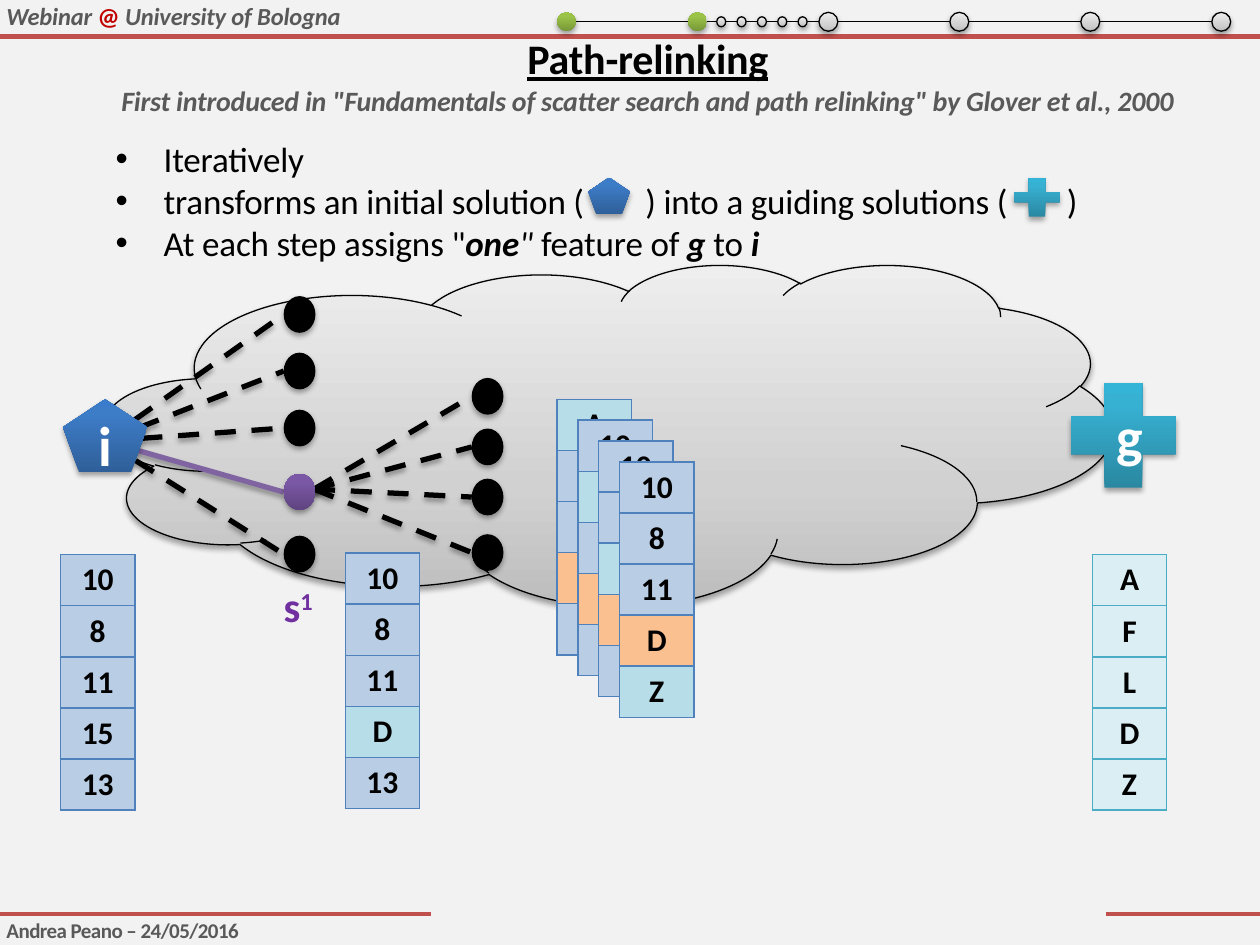
from copy import deepcopy

from lxml import etree
from pptx import Presentation
from pptx.dml.color import RGBColor
from pptx.enum import dml, shapes, text
from pptx.oxml.ns import qn
from pptx.util import Cm, Pt

BLACK = RGBColor(0x00, 0x00, 0x00)
WHITE = RGBColor(0xFF, 0xFF, 0xFF)
PAPER = RGBColor(0xF2, 0xF2, 0xF2)
GREY = RGBColor(0x59, 0x59, 0x59)
RED = RGBColor(0xC0, 0x50, 0x4D)
DARK_RED = RGBColor(0xC0, 0x00, 0x00)
VIOLET = RGBColor(0x70, 0x30, 0xA0)
PURPLE = RGBColor(0x80, 0x64, 0xA2)
BLUE_EDGE = RGBColor(0x4F, 0x81, 0xBD)
BLUE_CELL = RGBColor(0xB9, 0xCD, 0xE5)
TEAL_EDGE = RGBColor(0x4B, 0xAC, 0xC6)
TEAL_CELL = RGBColor(0xDB, 0xEE, 0xF4)
TEAL_MARK = RGBColor(0xB7, 0xDE, 0xE8)
ORANGE_MARK = RGBColor(0xFA, 0xC0, 0x90)


def gradient(*stops):
    return [(position, RGBColor.from_string(code)) for position, code in stops]


SILVER_FADE = gradient((0, "BDBDBD"), (0.35, "D1D1D1"), (1, "EEEEEE"))
BLUE_FADE = gradient((0, "2F5F99"), (0.8, "3D7CC7"), (1, "3A7CCB"))
TEAL_FADE = gradient((0, "2A88A2"), (0.8, "37B1D2"), (1, "34B4D6"))
PURPLE_FADE = gradient((0, "5F4480"), (0.8, "7B58A6"), (1, "7C57A8"))
GREEN_FADE = gradient((0, "779737"), (0.8, "9BC348"), (1, "9DC746"))

SHAPE = shapes.MSO_SHAPE
NODE_WIDTH, NODE_HEIGHT = 0.64, 0.74
START = ["10", "8", "11", "15", "13"]
GUIDE = ["A", "F", "L", "D", "Z"]
STEP_ONE = ["10", "8", "11", "D", "13"]


def set_effects(item, shadow):
    """Call after fill and line, so that the effects come last."""
    properties = item._element.spPr
    effects = etree.SubElement(properties, qn("a:effectLst"))
    if shadow:
        outer = etree.SubElement(effects, qn("a:outerShdw"), blurRad="39370", dist="22860",
                                 dir="5400000", rotWithShape="0")
        color = etree.SubElement(outer, qn("a:srgbClr"), val="000000")
        etree.SubElement(color, qn("a:alpha"), val="35000")


def add_solid(page, kind, box, fill, outline=False):
    """Add a shadowed preset shape; fill is one colour or a list of gradient stops."""
    shape = page.shapes.add_shape(kind, *map(Cm, box))
    if isinstance(fill, RGBColor):
        shape.fill.solid()
        shape.fill.fore_color.rgb = fill
    else:
        shape.fill.gradient()
        shape.fill.gradient_angle = 90
        stop_list = shape._element.spPr.find(".//" + qn("a:gsLst"))
        stop_list.insert(1, deepcopy(stop_list[0]))
        for stop, (position, color) in zip(shape.fill.gradient_stops, fill):
            stop.position = position
            stop.color.rgb = color
    if outline:
        shape.line.color.rgb = BLACK
        shape.line.width = Pt(0.75)
    else:
        shape.line.fill.background()
    set_effects(shape, shadow=True)
    return shape


def add_line(page, start, end, color, width, dashed=False, shadow=False):
    line = page.shapes.add_connector(shapes.MSO_CONNECTOR.STRAIGHT, *map(Cm, start + end))
    line.line.color.rgb = color
    line.line.width = Pt(width)
    if dashed:
        line.line.dash_style = dml.MSO_LINE.DASH
    set_effects(line, shadow)


def write(para, spans, size, color, spacing=0, **common):
    """Add (wording, font settings) spans to a paragraph."""
    for wording, settings in spans:
        span = para.add_run()
        span.text = wording
        span.font.name = "Calibri"
        span.font.size = Pt(size)
        span.font.color.rgb = color
        for name, value in {**common, **settings}.items():
            if name == "color":
                span.font.color.rgb = value
            elif name == "baseline":
                span._r.get_or_add_rPr().set("baseline", str(value))
            else:
                setattr(span.font, name, value)
        if spacing:
            span._r.get_or_add_rPr().set("spc", str(spacing))


def prepare_frame(shape, wrap):
    frame = shape.text_frame
    frame.margin_left = frame.margin_right = frame.margin_top = frame.margin_bottom = 0
    frame.word_wrap = wrap
    frame.auto_size = text.MSO_AUTO_SIZE.NONE
    frame.vertical_anchor = text.MSO_ANCHOR.TOP
    return frame


def add_text(page, box, wrap=True):
    return prepare_frame(page.shapes.add_textbox(*map(Cm, box)), wrap)


def add_frame_lines(page):
    """Header and footer rules with their wording."""
    for start, end, y, width in [(0, 8.69, 18.42, 2.25), (22.3, 25.4, 18.42, 2.25),
                                 (0, 25.4, 0.74, 3)]:
        add_line(page, (start, y), (end, y), RED, width)
    header = add_text(page, (0.13, 0.03, 11.23, 0.61)).paragraphs[0]
    write(header, [("Webinar ", {}), ("@ ", {"color": DARK_RED, "italic": False}),
                   ("University of Bologna", {})], 14, GREY, -10, **{"bold": True, "italic": True})
    footer = add_text(page, (0.13, 18.49, 4.75, 0.51), wrap=False).paragraphs[0]
    write(footer, [("Andrea Peano – 24/05/2016", {})], 12, GREY, -30, bold=True)


def add_title(page, box):
    title = page.shapes.title
    title.left, title.top, title.width, title.height = map(Cm, box)
    frame = prepare_frame(title, wrap=False)
    heading, source = frame.paragraphs[0], frame.add_paragraph()
    heading.alignment = source.alignment = text.PP_ALIGN.CENTER
    write(heading, [("Path-relinking", {})], 24, BLACK, -10, bold=True, underline=True)
    write(source, [('First introduced in "Fundamentals of scatter search and path relinking" '
                    "by Glover et al., 2000", {})], 16, GREY, -10, bold=True, italic=True)


def add_progress(page, left, top):
    """Chain of section dots, with small slide dots after the second."""
    size, step = 0.38, 2.64
    for index in range(6):
        x = left + index * step
        done = index < 2
        add_solid(page, SHAPE.OVAL, (x, top, size, size),
                  GREEN_FADE if done else SILVER_FADE, outline=not done)
        if index < 5:
            add_line(page, (x + size, top + size / 2), (x + step, top + size / 2), BLACK, 0.75)
    for index in range(5):
        add_solid(page, SHAPE.OVAL, (left + 3.22 + index * 0.41, top + 0.09, 0.18, 0.2),
                  SILVER_FADE, outline=True)


def add_bullets(page, left, top):
    strong, slanted = {"bold": True, "italic": True}, {"italic": True}
    lines = [
        [("Iteratively", {})],
        [("transforms an initial solution (\t) into a guiding solutions (\t)", {})],
        [('At each step assigns "', {}), ("one", strong), ('" ', slanted), ("feature of ", {}),
         ("g", strong), (" to ", {}), ("i", strong)],
    ]
    frame = add_text(page, (left, top, 21.95, 2.57))
    for index, spans in enumerate(lines):
        para = frame.add_paragraph() if index else frame.paragraphs[0]
        properties = para._p.get_or_add_pPr()
        properties.set("marL", str(Cm(0.99)))
        properties.set("indent", str(-Cm(0.97)))
        etree.SubElement(properties, qn("a:buFont"), typeface="Arial")
        etree.SubElement(properties, qn("a:buChar"), char="•")
        tabs = etree.SubElement(properties, qn("a:tabLst"))
        for position in (10.7, 19.2):
            etree.SubElement(tabs, qn("a:tab"), pos=str(Cm(position)), algn="l")
        write(para, spans, 20, BLACK, -10)
    add_solid(page, SHAPE.REGULAR_PENTAGON, (left + 9.55, top + 0.81, 0.84, 0.74), BLUE_FADE)
    guide = add_solid(page, SHAPE.CROSS, (left + 18.14, top + 0.81, 0.91, 0.79), TEAL_FADE)
    guide.adjustments[0] = 0.37


def add_fan(page, origin, left, tops, chosen=None):
    """Lines from one solution to its neighbours; the chosen one is purple."""
    for index, top in enumerate(tops):
        picked = index == chosen
        add_line(page, origin, (left, top + NODE_HEIGHT / 2), PURPLE if picked else BLACK, 3,
                 dashed=not picked, shadow=True)
    for index, top in enumerate(tops):
        add_solid(page, SHAPE.FLOWCHART_CONNECTOR, (left, top, NODE_WIDTH, NODE_HEIGHT),
                  PURPLE_FADE if index == chosen else BLACK)


def add_search_space(page):
    add_solid(page, SHAPE.CLOUD, (2.11, 5.33, 20.32, 6.88), SILVER_FADE, outline=True)
    add_fan(page, (6.33, 9.86), 9.51, [7.62, 8.64, 9.65, 10.77])
    add_fan(page, (2.11, 8.89), 5.72, [5.97, 7.11, 8.26, 9.55, 10.8], chosen=3)
    initial = add_solid(page, SHAPE.REGULAR_PENTAGON, (1.27, 8.05, 1.7, 1.47), BLUE_FADE)
    guide = add_solid(page, SHAPE.CROSS, (21.59, 7.72, 2.11, 2.11), TEAL_FADE)
    guide.adjustments[0] = 0.32
    for shape, letter in [(initial, "i"), (guide, "g")]:
        para = shape.text_frame.paragraphs[0]
        para.alignment = text.PP_ALIGN.CENTER
        write(para, [(letter, {})], 32, WHITE, bold=True)
    label = add_text(page, (5.72, 11.71, 0.66, 1.02), wrap=False).paragraphs[0]
    write(label, [("s", {}), ("1", {"baseline": 30000})], 24, VIOLET, -10, bold=True)


def add_vector(page, left, top, values, marks=None, fill=BLUE_CELL, edge=BLUE_EDGE):
    """One-column table of features; marks maps row numbers to fills."""
    width, row_height = 1.5, 1.03
    table = page.shapes.add_table(len(values), 1, Cm(left), Cm(top), Cm(width),
                                  Cm(row_height * len(values))).table
    table.first_row = table.horz_banding = False
    for row, value in enumerate(values):
        cell = table.cell(row, 0)
        properties = cell._tc.get_or_add_tcPr()
        for side in ("lnL", "lnR", "lnT", "lnB"):
            border = etree.SubElement(properties, qn("a:" + side), w=str(Pt(1)))
            paint = etree.SubElement(border, qn("a:solidFill"))
            etree.SubElement(paint, qn("a:srgbClr"), val=str(edge))
        cell.fill.solid()
        cell.fill.fore_color.rgb = (marks or {}).get(row, fill)
        para = cell.text_frame.paragraphs[0]
        para.alignment = text.PP_ALIGN.CENTER
        write(para, [(value, {})], 18, BLACK, bold=True)


def add_vectors(page):
    add_vector(page, 1.22, 11.18, START)
    add_vector(page, 22.02, 11.18, GUIDE, fill=TEAL_CELL, edge=TEAL_EDGE)
    add_vector(page, 6.96, 11.15, STEP_ONE, {3: TEAL_MARK})
    candidates = [(0, ["A"] + STEP_ONE[1:]), (1, STEP_ONE), (2, STEP_ONE),
                  (4, STEP_ONE[:4] + ["Z"])]
    for index, (changed, values) in enumerate(candidates):
        add_vector(page, 11.23 + index * 0.42, 8.05 + index * 0.42, values,
                   {3: ORANGE_MARK, changed: TEAL_MARK})


def main():
    deck = Presentation()
    deck.slide_width, deck.slide_height = Cm(25.4), Cm(19.05)
    page = deck.slides.add_slide(deck.slide_layouts[5])
    page.background.fill.solid()
    page.background.fill.fore_color.rgb = PAPER
    add_frame_lines(page)
    add_search_space(page)
    add_vectors(page)
    add_bullets(page, 2.31, 2.77)
    add_title(page, (2.34, 0.66, 21.44, 1.7))
    add_progress(page, 11.23, 0.25)
    deck.save("out.pptx")


if __name__ == "__main__":
    main()
